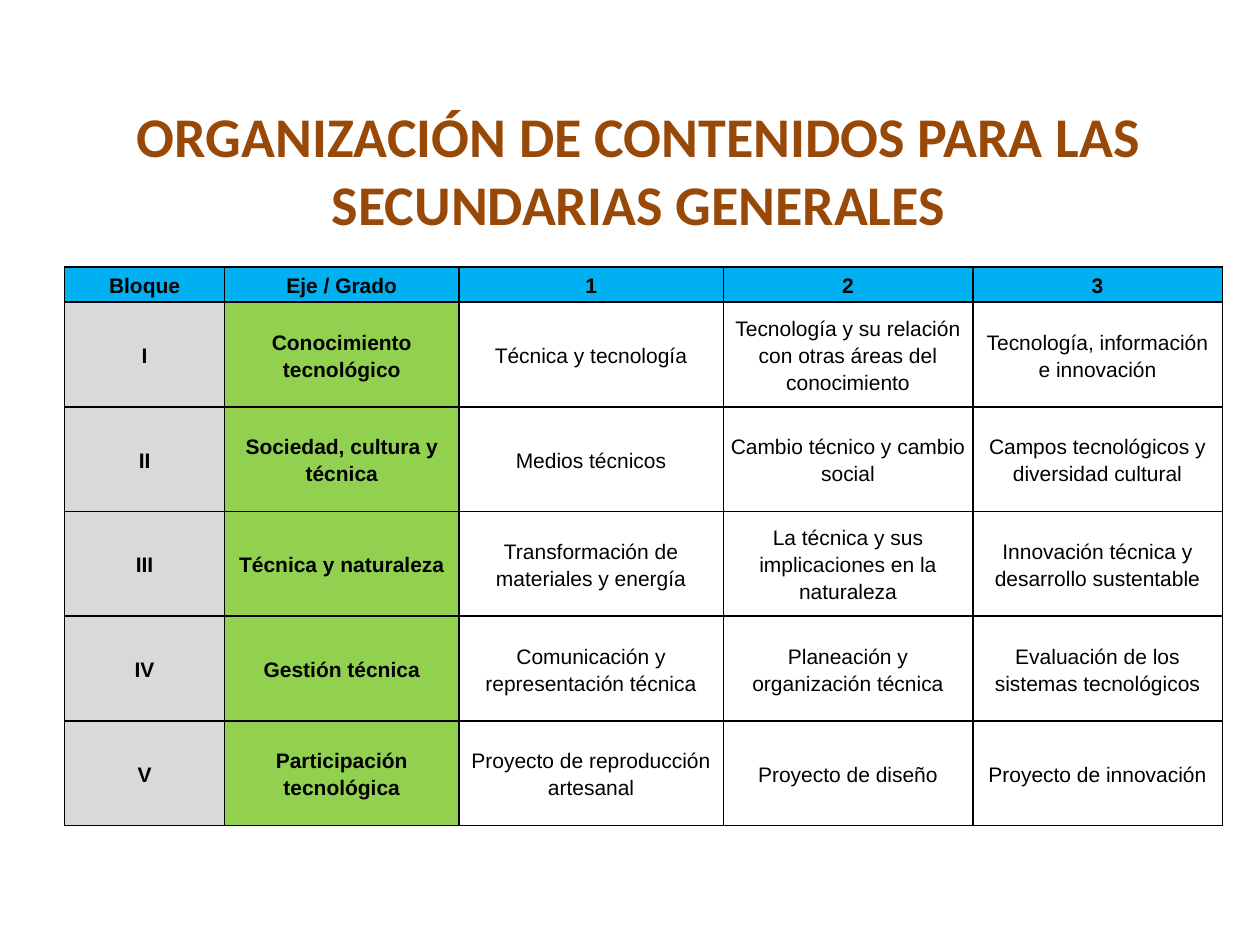
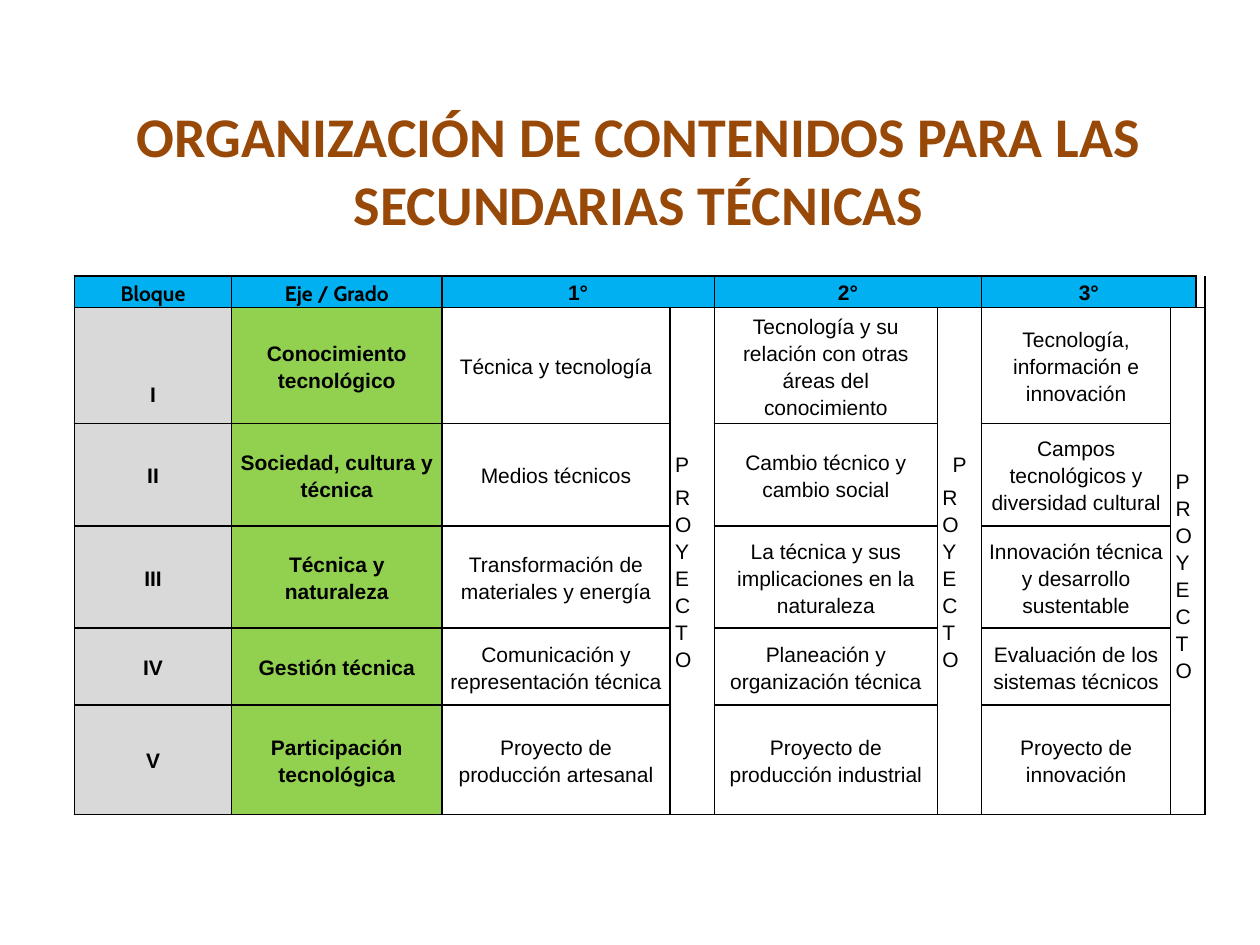
from dataclasses import dataclass

from lxml.etree import SubElement
from pptx import Presentation
from pptx.dml.color import RGBColor
from pptx.enum.text import MSO_ANCHOR, PP_ALIGN
from pptx.oxml.ns import qn
from pptx.util import Cm, Pt


# Shared colours, fonts and sizes
@dataclass(frozen=True)
class Theme:
    title: str = "984807"
    ink: str = "000000"
    header: str = "00B0F0"
    block: str = "D9D9D9"
    axis: str = "92D050"
    plain: str = "FFFFFF"
    title_font: str = "Calibri"
    body_font: str = "Arial"
    accent_font: str = "Cabin"
    title_size: int = 32
    body_size: int = 12
    border_width: int = 1


THEME = Theme()
UNSTYLED_TABLE = "{2D5ABB26-0587-4C30-8999-92F81FD0307C}"
CELL_SPACING = {"line_spacing": 1.15, "space_before": Pt(12), "space_after": Pt(3)}
LETTER_SPACING = {"line_spacing": 1.15, "space_before": Pt(0), "space_after": Pt(0)}

# Contents
AXES = [
    ("I", "Conocimiento tecnológico"),
    ("II", "Sociedad, cultura y técnica"),
    ("III", "Técnica y naturaleza"),
    ("IV", "Gestión técnica"),
    ("V", "Participación tecnológica"),
]
SHARED_TOPICS = [
    ("Técnica y tecnología", "Tecnología y su relación con otras áreas del conocimiento",
     "Tecnología, información e innovación"),
    ("Medios técnicos", "Cambio técnico y cambio social",
     "Campos tecnológicos y diversidad cultural"),
    ("Transformación de materiales y energía",
     "La técnica y sus implicaciones en la naturaleza",
     "Innovación técnica y desarrollo sustentable"),
]
FOURTH_TOPICS = ("Comunicación y representación técnica", "Planeación y organización técnica")
GENERAL_TOPICS = SHARED_TOPICS + [
    (*FOURTH_TOPICS, "Evaluación de los sistemas tecnológicos"),
    ("Proyecto de reproducción artesanal", "Proyecto de diseño", "Proyecto de innovación"),
]
TECHNICAL_TOPICS = SHARED_TOPICS + [
    (*FOURTH_TOPICS, "Evaluación de los sistemas técnicos"),
    ("Proyecto de producción artesanal", "Proyecto de producción industrial",
     "Proyecto de innovación"),
]


def apply_formats(target, formats):
    for name, value in formats.items():
        setattr(target, name, value)


def format_paragraph(paragraph, size, font, color, bold, formats):
    apply_formats(paragraph, formats)
    for run in paragraph.runs:
        apply_formats(run.font, {"size": Pt(size), "name": font, "bold": bold})
        run.font.color.rgb = RGBColor.from_string(color)


def add_title(slide, text):
    shape = slide.shapes.add_textbox(Cm(1.45), Cm(2.1), Cm(22.86), Cm(2.62))
    frame = shape.text_frame
    apply_formats(frame, {"word_wrap": True, "vertical_anchor": MSO_ANCHOR.MIDDLE,
                          "text": text})
    format_paragraph(frame.paragraphs[0], THEME.title_size, THEME.title_font,
                     THEME.title, True, {"alignment": PP_ALIGN.CENTER})


def set_borders(cell, sides="LRTB"):
    """Draw the named sides; lines must come before the fill in the cell properties."""
    properties = cell._tc.get_or_add_tcPr()
    for side in sides:
        line = SubElement(properties, qn(f"a:ln{side}"), w=str(Pt(THEME.border_width)))
        fill = SubElement(line, qn("a:solidFill"))
        SubElement(fill, qn("a:srgbClr"), val=THEME.ink)


def add_table(slide, left, top, widths, heights):
    frame = slide.shapes.add_table(len(heights), len(widths), Cm(left), Cm(top),
                                   Cm(sum(widths)), Cm(sum(heights)))
    table = frame.table
    apply_formats(table, {"first_row": False, "horz_banding": False})
    table._tbl.tblPr.find(qn("a:tableStyleId")).text = UNSTYLED_TABLE
    for column, width in zip(table.columns, widths):
        column.width = Cm(width)
    for row, height in zip(table.rows, heights):
        row.height = Cm(height)
    return table


def paint_cell(cell, fill):
    set_borders(cell)
    cell.fill.solid()
    cell.fill.fore_color.rgb = RGBColor.from_string(fill)


def write_cell(cell, text, inset, bold=False, font=THEME.body_font, top=0):
    apply_formats(cell, {"margin_left": Cm(inset), "margin_right": Cm(inset),
                         "margin_top": Cm(top), "margin_bottom": Cm(0),
                         "vertical_anchor": MSO_ANCHOR.MIDDLE, "text": text})
    for paragraph in cell.text_frame.paragraphs:
        format_paragraph(paragraph, THEME.body_size, font, THEME.ink, bold,
                         {"alignment": PP_ALIGN.CENTER, **CELL_SPACING})


def fill_grid(table, grades, topics, topic_columns, inset, header_font):
    """Header row, block and axis columns, and one topic column per grade."""
    for column in range(len(table.columns)):
        for row in range(len(table.rows)):
            if row == 0:
                fill = THEME.header
            else:
                fill = {0: THEME.block, 1: THEME.axis}.get(column, THEME.plain)
            paint_cell(table.cell(row, column), fill)
    for column, label in enumerate(("Bloque", "Eje / Grado")):
        write_cell(table.cell(0, column), label, inset, True, header_font)
    for column, grade in zip(topic_columns, grades):
        write_cell(table.cell(0, column), grade, inset, True)
    for row, (axis, row_topics) in enumerate(zip(AXES, topics), start=1):
        for column, label in enumerate(axis):
            write_cell(table.cell(row, column), label, inset, True)
        for column, topic in zip(topic_columns, row_topics):
            write_cell(table.cell(row, column), topic, inset)


def write_project_column(cell, inset, first_formats, top=0):
    """The word runs downwards, one letter to a paragraph."""
    write_cell(cell, "\n".join("PROYECTO"), inset, top=top)
    first, *others = cell.text_frame.paragraphs
    for paragraph in others:
        apply_formats(paragraph, {"alignment": PP_ALIGN.LEFT, **LETTER_SPACING})
    apply_formats(first, first_formats)


def build_general(slide):
    add_title(slide, "ORGANIZACIÓN DE CONTENIDOS PARA LAS SECUNDARIAS GENERALES")
    table = add_table(slide, 1.3, 5.38, [3.23, 4.72, 5.33, 5.03, 5.03],
                      [0.71] + [2.11] * 5)
    fill_grid(table, "123", GENERAL_TOPICS, (2, 3, 4), 0.13, THEME.body_font)


def build_technical(slide):
    inset = 0.1
    table = add_table(slide, 1.5, 5.56,
                      [3.17, 4.24, 4.6, 0.89, 4.5, 0.89, 3.81, 0.51, 0.18],
                      [0.64, 2.34, 2.06, 2.06, 1.55, 2.21])
    grade_columns = (2, 4, 6)
    fill_grid(table, ("1°", "2°", "3°"), TECHNICAL_TOPICS, grade_columns, inset,
              THEME.accent_font)
    table.cell(1, 0).margin_top = Cm(1.1)

    # Each grade spans its topics and its project column
    for column in grade_columns:
        table.cell(0, column).merge(table.cell(0, column + 1))
    for column, last in ((3, 3), (5, 5), (7, 8)):
        table.cell(1, column).merge(table.cell(5, last))
    write_project_column(table.cell(1, 3), inset,
                         {"alignment": PP_ALIGN.LEFT})
    write_project_column(table.cell(1, 5), inset,
                         {"alignment": PP_ALIGN.CENTER})
    write_project_column(table.cell(1, 7), inset,
                         {"alignment": PP_ALIGN.LEFT, **LETTER_SPACING}, top=0.55)

    # The narrow corner beside the header stays open
    corner = table.cell(0, 8)
    properties = corner._tc.get_or_add_tcPr()
    for child in list(properties):
        properties.remove(child)
    set_borders(corner, "L")
    corner.fill.background()
    apply_formats(corner, {"margin_left": 0, "margin_right": 0,
                           "margin_top": 0, "margin_bottom": 0})
    corner.text_frame.paragraphs[0].font.size = Pt(THEME.body_size)

    add_title(slide, "ORGANIZACIÓN DE CONTENIDOS PARA LAS SECUNDARIAS TÉCNICAS")


def main():
    presentation = Presentation()
    apply_formats(presentation, {"slide_width": Cm(25.4), "slide_height": Cm(19.05)})
    blank = presentation.slide_layouts[6]
    for build in (build_general, build_technical):
        build(presentation.slides.add_slide(blank))
    presentation.save("out.pptx")


main()
